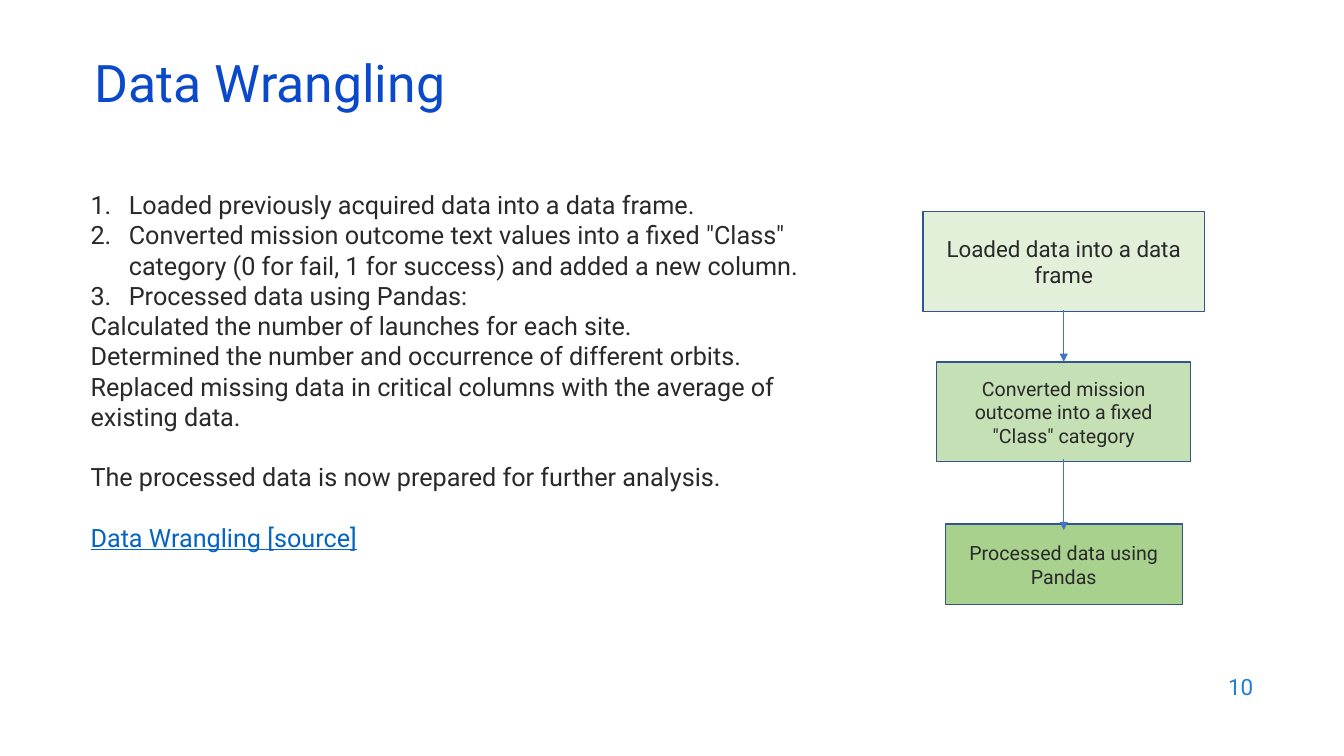
import pptx
import pptx.util
import pptx.dml.color
import pptx.enum.shapes
import pptx.enum.text
import pptx.oxml.ns
import lxml.etree

WIDE = pptx.util.Inches(13.333)
HIGH = pptx.util.Inches(7.5)
COL = WIDE / 100
ROW = HIGH / 100
MID = 79.15
FONT = "Roboto"
HUES = {
    "title": "0B49CB", "text": "292929", "link": "0563C1", "page": "1C7DDB",
    "edge": "325491", "arrow": "4472C4",
    "pale": "E2F0D9", "soft": "C5E0B4", "deep": "A9D18E",
}
ALIGN = pptx.enum.text.PP_ALIGN
ANCHOR = pptx.enum.text.MSO_ANCHOR

STEPS = [
    "Loaded previously acquired data into a data frame.",
    "Converted mission outcome text values into a fixed \"Class\" category "
    "(0 for fail, 1 for success) and added a new column.",
    "Processed data using Pandas:",
]
NOTES = [
    ("Calculated the number of launches for each site.", 0, "text"),
    ("Determined the number and occurrence of different orbits.", 0, "text"),
    ("Replaced missing data in critical columns with the average of existing data.", 0, "text"),
    ("The processed data is now prepared for further analysis.", 21.6, "text"),
    ("Data Wrangling [source]", 21.6, "link"),
]
BOXES = [
    ("Loaded data into a data frame", 28, 20.93, 13.2, 16, "pale"),
    ("Converted mission outcome into a fixed \"Class\" category", 47.87, 18.9, 13.2, 14, "soft"),
    ("Processed data using Pandas", 69.33, 17.63, 10.67, 14, "deep"),
]
ARROWS = [(41.07, 47.87), (60.67, 70.13)]


def hue(name):
    return pptx.dml.color.RGBColor.from_string(HUES[name])


def area(left, top, wide, high):
    return round(left * COL), round(top * ROW), round(wide * COL), round(high * ROW)


def style(para, size, color):
    para.font.name = FONT
    para.font.size = pptx.util.Pt(size)
    para.font.color.rgb = hue(color)


def number(para):
    props = para._p.get_or_add_pPr()
    props.set("marL", str(pptx.util.Inches(0.38)))
    props.set("indent", str(-pptx.util.Inches(0.38)))
    mark = lxml.etree.SubElement(props, pptx.oxml.ns.qn("a:buAutoNum"))
    mark.set("type", "arabicPeriod")


def add_title(slide, text):
    title = slide.shapes.title
    title.left, title.top, title.width, title.height = area(6.3, 7.87, 86.25, 8)
    frame = title.text_frame
    frame.text = text
    frame.auto_size = pptx.enum.text.MSO_AUTO_SIZE.NONE
    frame.vertical_anchor = ANCHOR.MIDDLE
    para = frame.paragraphs[0]
    para.alignment = ALIGN.LEFT
    para.line_spacing = 0.7
    style(para, 37, "title")


def add_body(slide):
    frame = slide.shapes.add_textbox(*area(6, 24.4, 56.1, 63.47)).text_frame
    frame.word_wrap = True
    rows = [(text, 0, "text") for text in STEPS] + NOTES
    for index, (text, gap, color) in enumerate(rows):
        para = frame.add_paragraph() if index else frame.paragraphs[0]
        para.text = text
        if gap:
            para.space_before = pptx.util.Pt(gap)
        if index < len(STEPS):
            number(para)
        style(para, 18, color)
        if color == "link":
            para.font.underline = True


def add_box(slide, text, top, wide, high, size, fill):
    box = slide.shapes.add_shape(
        pptx.enum.shapes.MSO_SHAPE.RECTANGLE, *area(MID - wide / 2, top, wide, high))
    box.shadow.inherit = False
    box.fill.solid()
    box.fill.fore_color.rgb = hue(fill)
    box.line.color.rgb = hue("edge")
    box.line.width = pptx.util.Pt(1)
    frame = box.text_frame
    frame.word_wrap = True
    frame.vertical_anchor = ANCHOR.MIDDLE
    frame.text = text
    para = frame.paragraphs[0]
    para.alignment = ALIGN.CENTER
    style(para, size, "text")


def add_arrow(slide, start, end):
    left, top, _, high = area(MID, start, 0, end - start)
    arrow = slide.shapes.add_connector(
        pptx.enum.shapes.MSO_CONNECTOR.STRAIGHT, left, top, left, top + high)
    arrow.line.color.rgb = hue("arrow")
    arrow.line.width = pptx.util.Pt(0.5)
    tip = lxml.etree.SubElement(arrow.line._get_or_add_ln(), pptx.oxml.ns.qn("a:tailEnd"))
    tip.set("type", "triangle")
    lxml.etree.SubElement(arrow._element.spPr, pptx.oxml.ns.qn("a:effectLst"))


def add_page(slide, text):
    frame = slide.shapes.add_textbox(*area(71.48, 87.87, 22.5, 5.87)).text_frame
    frame.word_wrap = True
    frame.vertical_anchor = ANCHOR.MIDDLE
    frame.text = text
    para = frame.paragraphs[0]
    para.alignment = ALIGN.RIGHT
    style(para, 16, "page")


def main():
    deck = pptx.Presentation()
    deck.slide_width, deck.slide_height = WIDE, HIGH
    slide = deck.slides.add_slide(deck.slide_layouts[5])
    add_title(slide, "Data Wrangling")
    add_body(slide)
    for box in BOXES:
        add_box(slide, *box)
    for arrow in ARROWS:
        add_arrow(slide, *arrow)
    add_page(slide, "10")
    deck.save("out.pptx")


if __name__ == "__main__":
    main()
